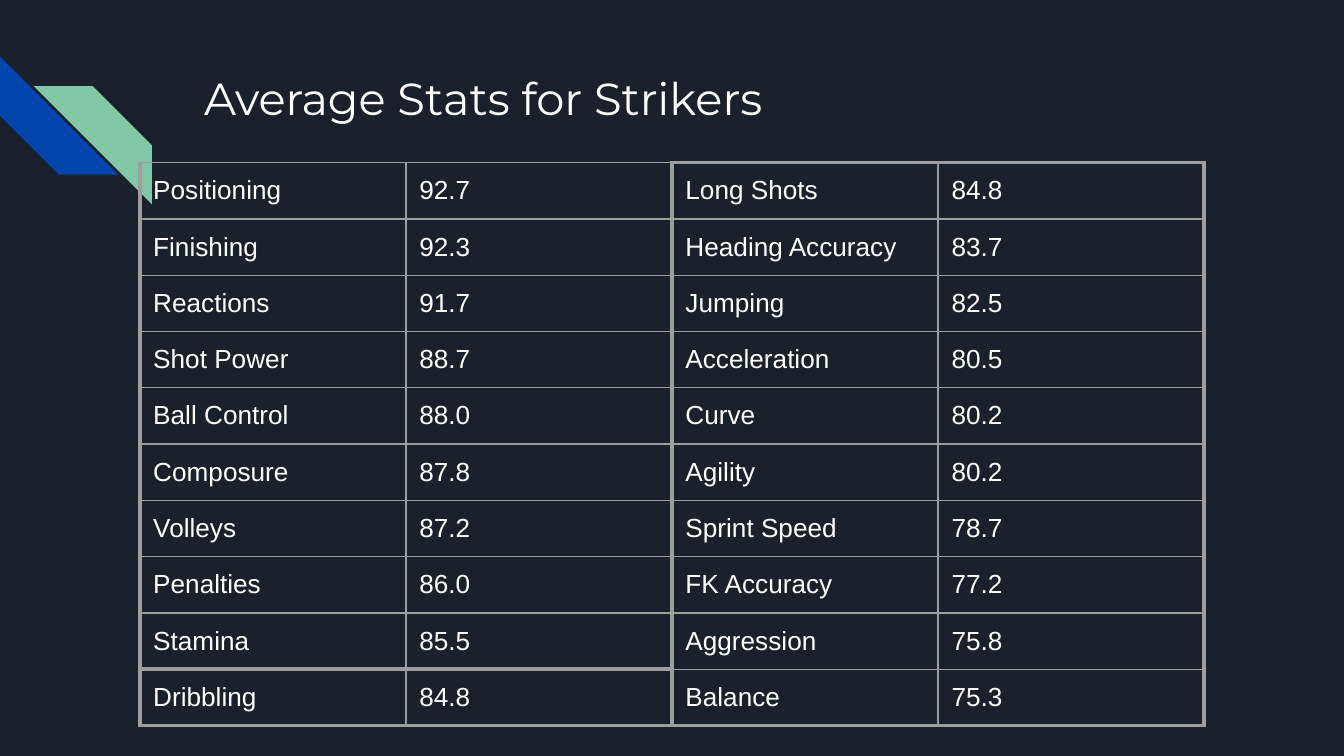
from dataclasses import dataclass

from lxml import etree
from pptx import Presentation
from pptx.dml.color import RGBColor
from pptx.enum.shapes import MSO_SHAPE
from pptx.oxml.ns import qn
from pptx.util import Inches, Pt

STRIPE = MSO_SHAPE.DIAGONAL_STRIPE
BLANK_LAYOUT = 6


@dataclass(frozen=True)
class Theme:
    background: str = "1B212C"
    text: str = "FFFFFF"
    blue: str = "0145AC"
    green: str = "82C7A5"
    rule: str = "9E9E9E"
    title_font: str = "Montserrat"
    body_font: str = "Arial"
    title_size: float = 24
    body_size: float = 14
    thin: float = 0.75
    thick: float = 2.25


@dataclass(frozen=True)
class Stripe:
    left: float
    top: float
    rotation: int
    color: str


@dataclass(frozen=True)
class Stat:
    name: str
    average: str


THEME = Theme()
SLIDE_WIDTH = 10
SLIDE_HEIGHT = SLIDE_WIDTH * 9 / 16
STRIPE_SIZE = 0.88
STRIPES = [Stripe(0, 0.42, 270, THEME.blue), Stripe(0.25, 0.64, 90, THEME.green)]

LEFT_STATS = [
    Stat("Positioning", "92.7"),
    Stat("Finishing", "92.3"),
    Stat("Reactions", "91.7"),
    Stat("Shot Power", "88.7"),
    Stat("Ball Control", "88.0"),
    Stat("Composure", "87.8"),
    Stat("Volleys", "87.2"),
    Stat("Penalties", "86.0"),
    Stat("Stamina", "85.5"),
    Stat("Dribbling", "84.8"),
]
RIGHT_STATS = [
    Stat("Long Shots", "84.8"),
    Stat("Heading Accuracy", "83.7"),
    Stat("Jumping", "82.5"),
    Stat("Acceleration", "80.5"),
    Stat("Curve", "80.2"),
    Stat("Agility", "80.2"),
    Stat("Sprint Speed", "78.7"),
    Stat("FK Accuracy", "77.2"),
    Stat("Aggression", "75.8"),
    Stat("Balance", "75.3"),
]
COLUMN_WIDTH = 1.98
ROW_HEIGHT = 5 / 12
CELL_INSET = 0.1


def rgb(color: str) -> RGBColor:
    return RGBColor.from_string(color)


def style_font(font, name: str, size: float) -> None:
    font.name = name
    font.size = Pt(size)
    font.bold = False
    font.color.rgb = rgb(THEME.text)


def set_insets(box, inset: float) -> None:
    """Give a text frame or table cell the same margin on every side."""
    box.margin_left = box.margin_right = Inches(inset)
    box.margin_top = box.margin_bottom = Inches(inset)


def add_stripe(slide, stripe: Stripe) -> None:
    size = Inches(STRIPE_SIZE)
    shape = slide.shapes.add_shape(
        STRIPE, Inches(stripe.left), Inches(stripe.top), size, size
    )
    shape.adjustments[0] = 0.5
    shape.rotation = stripe.rotation
    shape.shadow.inherit = False
    shape.fill.solid()
    shape.fill.fore_color.rgb = rgb(stripe.color)
    shape.line.fill.background()


def add_title(slide, text: str) -> None:
    title = slide.shapes.add_textbox(
        Inches(1.42), Inches(0.43), Inches(7.7), Inches(1)
    ).text_frame
    title.word_wrap = True
    set_insets(title, 0.1)
    title.text = text
    style_font(title.paragraphs[0].font, THEME.title_font, THEME.title_size)


def set_borders(cell, thick_edges: dict[str, bool]) -> None:
    """Draw all four edges; they must precede the fill in the cell's XML."""
    properties = cell._tc.get_or_add_tcPr()
    for index, (edge, is_thick) in enumerate(thick_edges.items()):
        width = Pt(THEME.thick if is_thick else THEME.thin)
        line = etree.Element(qn(f"a:ln{edge}"), w=str(width))
        fill = etree.SubElement(line, qn("a:solidFill"))
        etree.SubElement(fill, qn("a:srgbClr"), val=THEME.rule)
        properties.insert(index, line)


def add_stats_table(slide, left: list[Stat], right: list[Stat]) -> None:
    """Put two ranked lists side by side, setting off the last one at left."""
    rows = [(a.name, a.average, b.name, b.average) for a, b in zip(left, right)]
    column_count, last = len(rows[0]), len(rows) - 1
    table = slide.shapes.add_table(
        len(rows), column_count, Inches(1.04), Inches(1.21),
        Inches(COLUMN_WIDTH * column_count), Inches(ROW_HEIGHT * len(rows)),
    ).table
    table.first_row = table.horz_banding = False
    for column in table.columns:
        column.width = Inches(COLUMN_WIDTH)
    for r, values in enumerate(rows):
        table.rows[r].height = Inches(ROW_HEIGHT)
        for c, value in enumerate(values):
            cell = table.cell(r, c)
            cell.text = value
            set_insets(cell, CELL_INSET)
            cell.fill.background()
            style_font(
                cell.text_frame.paragraphs[0].font, THEME.body_font, THEME.body_size
            )
            is_name, in_left = c % 2 == 0, c < 2
            set_borders(cell, {
                "L": is_name,
                "R": not is_name,
                "T": r == (last if in_left else 0),
                "B": r == last or (in_left and r == last - 1),
            })


def main() -> None:
    presentation = Presentation()
    presentation.slide_width = Inches(SLIDE_WIDTH)
    presentation.slide_height = Inches(SLIDE_HEIGHT)
    slide = presentation.slides.add_slide(presentation.slide_layouts[BLANK_LAYOUT])
    slide.background.fill.solid()
    slide.background.fill.fore_color.rgb = rgb(THEME.background)
    for stripe in STRIPES:
        add_stripe(slide, stripe)
    add_stats_table(slide, LEFT_STATS, RIGHT_STATS)
    add_title(slide, "Average Stats for Strikers")
    presentation.save("out.pptx")


if __name__ == "__main__":
    main()
